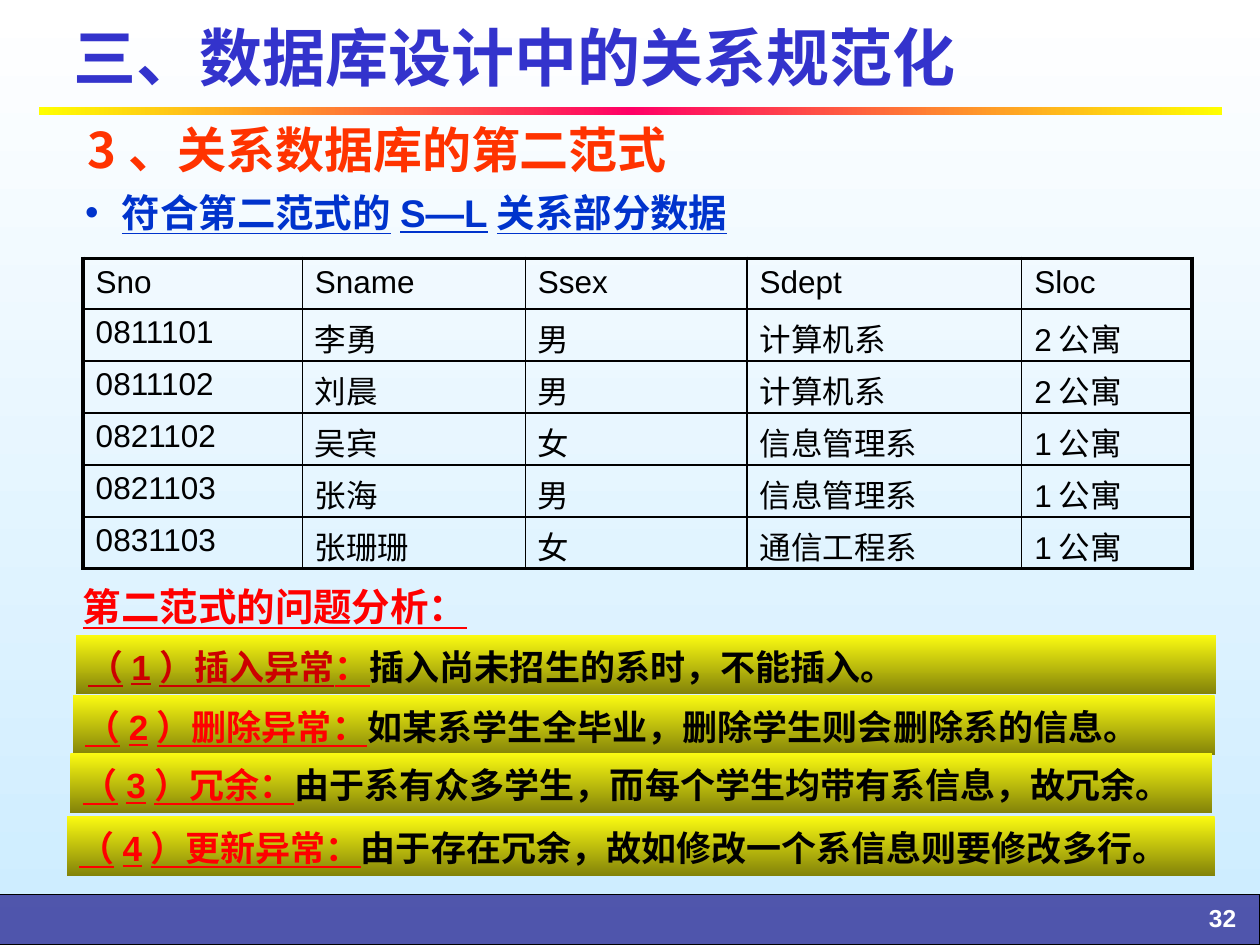
from dataclasses import dataclass
from typing import Any, NamedTuple

from lxml import etree
from pptx import Presentation
from pptx.dml import color
from pptx.enum import shapes, text
from pptx.oxml import ns
from pptx.util import Inches, Pt

CJK = "Noto Sans CJK SC"
BLACK = "000000"


class Area(NamedTuple):
    left: float
    top: float
    width: float
    height: float

    def lengths(self) -> list[int]:
        return [Inches(value) for value in self]


@dataclass
class Span:
    words: str
    size: float
    hue: str
    face: str = "Arial"
    bold: bool = True
    underline: bool = False


@dataclass
class Band:
    area: Area
    label: str
    detail: str
    label_hue: str = "FF0000"
    colon: str = ""


def rgb(value: str) -> color.RGBColor:
    return color.RGBColor.from_string(value)


def add_xml(parent: Any, tag: str, **attributes: str) -> Any:
    return etree.SubElement(parent, ns.qn(tag), attributes)


def set_gradient(fill: Any, element: Any, stops: list[str], angle: int) -> None:
    fill.gradient()
    fill.gradient_angle = angle
    stop_list = element.xpath(".//a:gsLst")[0]
    for stop in list(stop_list):
        stop_list.remove(stop)
    for index, value in enumerate(stops):
        position = 100000 * index // (len(stops) - 1)
        stop = add_xml(stop_list, "a:gs", pos=str(position))
        add_xml(stop, "a:srgbClr", val=value)


def write(frame: Any, spans: list[Span], anchor: Any = text.MSO_ANCHOR.TOP,
          align: Any = text.PP_ALIGN.LEFT, spacing: float = 1.0) -> Any:
    frame.word_wrap = True
    frame.auto_size = text.MSO_AUTO_SIZE.NONE
    frame.vertical_anchor = anchor
    para = frame.paragraphs[0]
    para.alignment = align
    para.line_spacing = spacing
    para.space_before = Pt(0)
    for item in spans:
        span = para.add_run()
        span.text = item.words
        span.font.size = Pt(item.size)
        span.font.name = item.face
        span.font.bold = item.bold
        span.font.underline = item.underline
        add_xml(span.font._element, "a:ea", typeface=CJK)
        span.font.color.rgb = rgb(item.hue)
    return para


def add_box(page: Any, area: Area, span: Span, **layout: Any) -> None:
    box = page.shapes.add_textbox(*area.lengths())
    write(box.text_frame, [span], **layout)


def add_rectangle(page: Any, area: Area) -> Any:
    rectangle = page.shapes.add_shape(shapes.MSO_SHAPE.RECTANGLE, *area.lengths())
    rectangle.shadow.inherit = False
    rectangle.line.fill.background()
    return rectangle


def fill_placeholder(holder: Any, area: Area, span: Span, align: Any) -> Any:
    holder.left, holder.top, holder.width, holder.height = area.lengths()
    return write(holder.text_frame, [span], text.MSO_ANCHOR.MIDDLE, align)


def add_band(page: Any, band: Band) -> None:
    rectangle = add_rectangle(page, band.area)
    set_gradient(rectangle.fill, rectangle._element, ["FBFB11", "838309"], 270)
    spans = [Span(band.label, 20, band.label_hue, underline=True)]
    if band.colon:
        spans.append(Span(band.colon, 20, "FF0000", underline=True))
    spans.append(Span(band.detail, 20, BLACK, CJK))
    write(rectangle.text_frame, spans, spacing=1.1)


def set_borders(cell: Any, widths: dict[str, float]) -> None:
    properties = cell._tc.get_or_add_tcPr()
    for index, (side, width) in enumerate(widths.items()):
        border = etree.Element(ns.qn(f"a:{side}"), w=str(int(Pt(width))))
        add_xml(add_xml(border, "a:solidFill"), "a:srgbClr", val=BLACK)
        properties.insert(index, border)


def add_student_table(page: Any, area: Area, columns: list[float],
                      records: list[list[str]]) -> None:
    last_row, last_column = len(records) - 1, len(columns) - 1
    table = page.shapes.add_table(len(records), len(columns), *area.lengths()).table
    table.first_row = table.horz_banding = False
    for column, width in zip(table.columns, columns):
        column.width = Inches(width)
    for row_index, record in enumerate(records):
        table.rows[row_index].height = Inches(area.height / len(records))
        for column_index, words in enumerate(record):
            cell = table.cell(row_index, column_index)
            cell.fill.background()
            cell.margin_left = cell.margin_right = Inches(0.1)
            cell.margin_top, cell.margin_bottom = Inches(0.05), 0
            write(cell.text_frame, [Span(words, 18, BLACK, bold=False)])
            edges = {"lnL": column_index == 0, "lnR": column_index == last_column,
                     "lnT": row_index == 0, "lnB": row_index == last_row}
            set_borders(cell, {side: 2.25 if outer else 1 for side, outer in edges.items()})


RECORDS = [
    ["Sno", "Sname", "Ssex", "Sdept", "Sloc"],
    ["0811101", "李勇", "男", "计算机系", "2公寓"],
    ["0811102", "刘晨", "男", "计算机系", "2公寓"],
    ["0821102", "吴宾", "女", "信息管理系", "1公寓"],
    ["0821103", "张海", "男", "信息管理系", "1公寓"],
    ["0831103", "张珊珊", "女", "通信工程系", "1公寓"],
]
BANDS = [
    Band(Area(0.6, 5.04, 9.05, 0.47), "（1）插入异常",
         "插入尚未招生的系时，不能插入。", "CC0000", "："),
    Band(Area(0.58, 5.52, 9.06, 0.47), "（2）删除异常：",
         "如某系学生全毕业，删除学生则会删除系的信息。"),
    Band(Area(0.56, 5.98, 9.06, 0.47), "（3）冗余：",
         "由于系有众多学生，而每个学生均带有系信息，故冗余。"),
    Band(Area(0.53, 6.48, 9.11, 0.47), "（4）更新异常：",
         "由于存在冗余，故如修改一个系信息则要修改多行。"),
]


def main() -> None:
    deck = Presentation()
    deck.slide_width, deck.slide_height = Inches(10), Inches(7.5)
    page = deck.slides.add_slide(deck.slide_layouts[1])
    set_gradient(page.background.fill, page.element, ["FFFFFF", "CCECFF"], 270)

    footer = add_rectangle(page, Area(-0.01, 7.1, 10.01, 0.4))
    footer.fill.solid()
    footer.fill.fore_color.rgb = rgb("333399")
    add_xml(footer._element.xpath("./p:spPr/a:solidFill/a:srgbClr")[0],
            "a:alpha", val="81000")
    footer.line.color.rgb = rgb(BLACK)
    footer.line.width = Pt(0.75)
    rule = add_rectangle(page, Area(0.31, 0.85, 9.39, 0.06))
    set_gradient(rule.fill, rule._element, ["FFFF00", "FF0066", "FFFF00"], 0)
    add_box(page, Area(8.94, 7.12, 0.97, 0.3), Span("32", 14, "FFFFFF"),
            align=text.PP_ALIGN.RIGHT)

    title, body = page.placeholders
    fill_placeholder(title, Area(0.48, 0.07, 7.68, 0.76),
                     Span("三、数据库设计中的关系规范化", 36, "3333CC"), text.PP_ALIGN.LEFT)
    bullet = fill_placeholder(
        body, Area(0.46, 1.39, 5.53, 0.59),
        Span("符合第二范式的S—L关系部分数据", 22, "0033CC", underline=True),
        text.PP_ALIGN.CENTER)
    properties = bullet._p.get_or_add_pPr()
    properties.set("marL", str(Inches(0.29)))
    properties.set("indent", str(-Inches(0.29)))
    add_xml(properties, "a:buChar", char="•")

    add_student_table(page, Area(0.66, 2.05, 8.8, 2.42),
                      [1.74, 1.77, 1.76, 2.18, 1.35], RECORDS)
    add_box(page, Area(0.56, 4.49, 9.1, 0.92),
            Span("第二范式的问题分析：", 22, "FF0000", CJK, underline=True), spacing=1.25)
    add_box(page, Area(0.6, 0.85, 7.97, 0.67),
            Span("3、关系数据库的第二范式", 28, "FF3300", CJK), anchor=text.MSO_ANCHOR.MIDDLE)
    for band in BANDS:
        add_band(page, band)
    deck.save("out.pptx")


if __name__ == "__main__":
    main()
